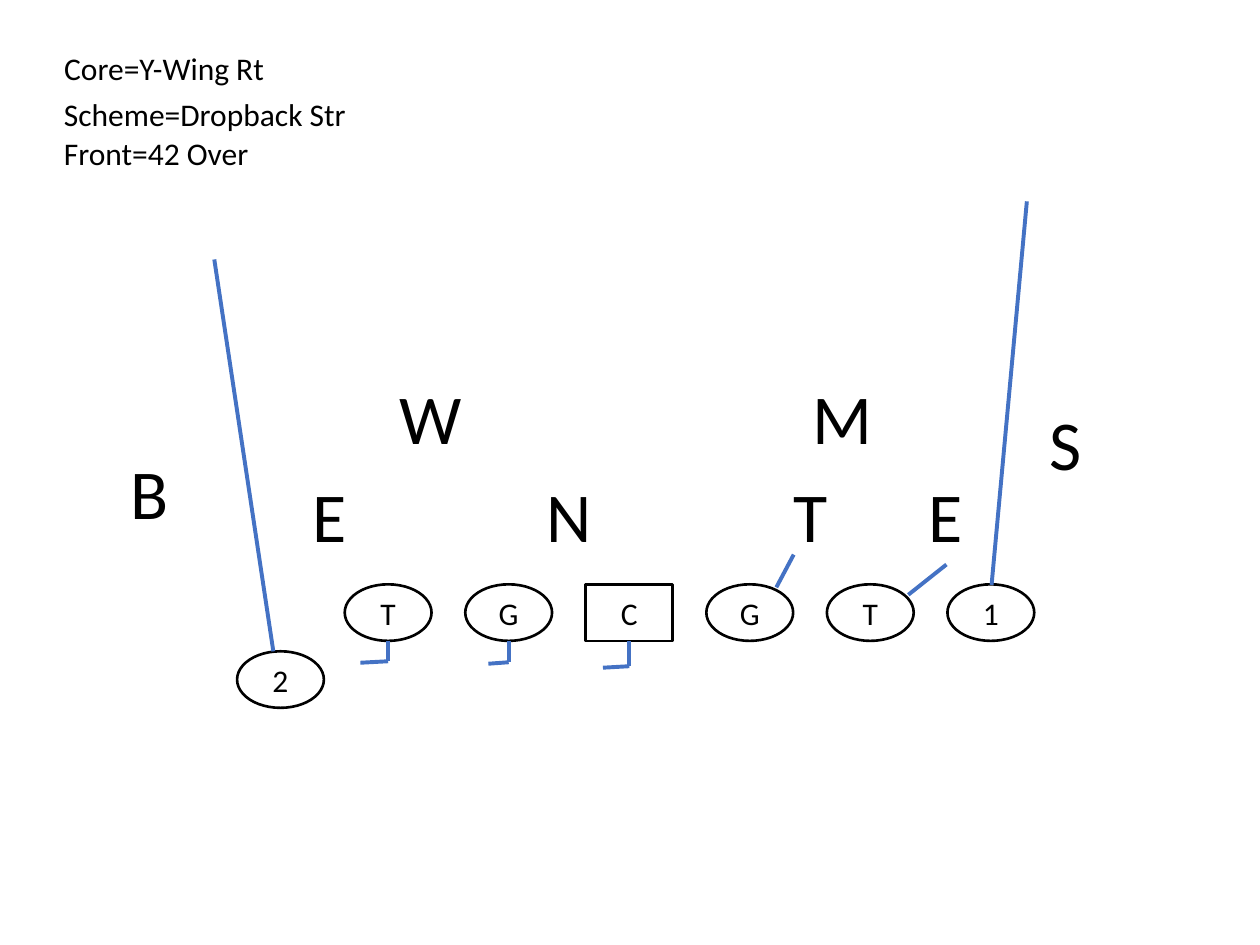
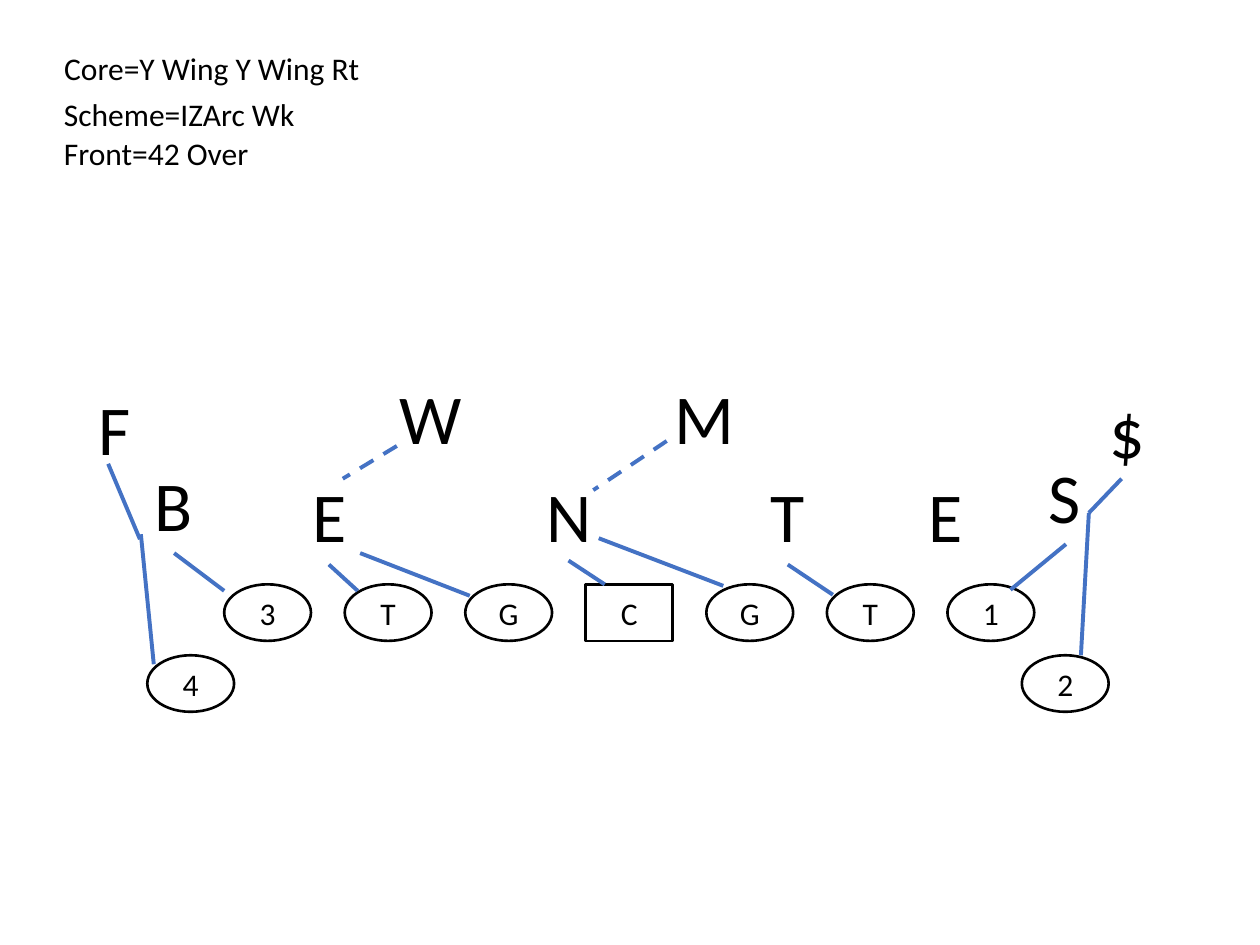
from itertools import pairwise
from pptx import Presentation
from pptx.dml.color import RGBColor
from pptx.enum.dml import MSO_LINE
from pptx.enum.shapes import MSO_CONNECTOR, MSO_SHAPE
from pptx.enum.text import MSO_ANCHOR, MSO_AUTO_SIZE, PP_ALIGN
from pptx.oxml.ns import qn
from pptx.util import Cm, Pt

BLACK, WHITE, BLUE = "000000", "FFFFFF", "4472C4"
FONT = "Calibri"
HEADING_LEFT, HEADING_HEIGHT = 1.04, 1.02
HEADING_TOPS = (0.86, 1.8, 2.57)
PLAYER_WIDTH, PLAYER_HEIGHT = 1.75, 1.14
CENTER_LEFT, LINE_TOP, LINE_PITCH = 11.81, 11.78, 2.43
LETTER_HEIGHT = 1.96
LETTER_WIDTHS = {"N": 1.42, "W": 1.78, "M": 1.78, "B": 1.3, "$": 0.99, "F": 0.89}
LETTER_WIDTH = 1.22
FRONT_TOP, BACKER_TOP = 9.4, 7.42

LINEMEN = [(-2, "T"), (-1, "G"), (0, "C"), (1, "G"), (2, "T"), (3, "1")]
SHARED_DEFENDERS = [
    ("E", 6.05, FRONT_TOP), ("N", 10.77, FRONT_TOP),
    ("E", 18.47, FRONT_TOP), ("W", 7.8, BACKER_TOP),
]

PLAYS = [
    {
        "headings": [("Core=Y-Wing Rt", 4.62), ("Scheme=Dropback Str", 6.25),
                     ("Front=42 Over", 4.27)],
        "linemen": LINEMEN,
        "backs": [("2", 4.78, 13.13)],
        "defenders": SHARED_DEFENDERS + [
            ("T", 15.75, FRONT_TOP), ("M", 16.13, BACKER_TOP),
            ("S", 20.9, 7.95), ("B", 2.39, 8.94),
        ],
        "kick_steps": [(0, 0.51, 0.53), (-1, 0.43, 0.41), (-2, 0.41, 0.56)],
        "routes": [
            [(16, 11.18), (15.65, 11.84)],
            [(19.08, 11.38), (18.31, 11.99)],
            [(20.7, 4.06), (19.99, 11.79)],
            [(4.32, 5.23), (5.51, 13.13)],
        ],
        "dashed_routes": [],
    },
    {
        "headings": [("Core=Y Wing Y Wing Rt", 6.53), ("Scheme=IZArc Wk", 5.21),
                     ("Front=42 Over", 4.42)],
        "linemen": LINEMEN + [(-3, "3")],
        "backs": [("2", 20.6, 13.21), ("4", 2.97, 13.21)],
        "defenders": SHARED_DEFENDERS + [
            ("T", 15.29, FRONT_TOP), ("M", 13.34, BACKER_TOP), ("S", 20.88, 9.02),
            ("B", 2.87, 9.17), ("$", 22.12, 7.7), ("F", 1.73, 7.65),
        ],
        "kick_steps": [],
        "routes": [
            [(6.63, 11.38), (7.21, 11.91)],
            [(7.26, 11.15), (9.47, 12.01)],
            [(11.46, 11.3), (12.19, 11.78)],
            [(12.07, 10.85), (14.58, 11.81)],
            [(15.88, 11.38), (16.79, 11.99)],
            [(3.51, 11.15), (4.52, 11.91)],
            [(2.84, 10.77), (3.1, 13.39)],
            [(2.82, 10.87), (2.18, 9.35)],
            [(21.49, 10.97), (20.37, 11.89)],
            [(22.61, 9.65), (21.95, 10.34), (21.79, 13.21)],
        ],
        "dashed_routes": [
            [(8, 8.99), (6.91, 9.65)],
            [(13.44, 8.89), (11.96, 9.88)],
        ],
    },
]


def color(code):
    return RGBColor.from_string(code)


def write(shape, text, size=18, align=PP_ALIGN.LEFT, anchor=MSO_ANCHOR.TOP,
          wrap=False, fit=MSO_AUTO_SIZE.SHAPE_TO_FIT_TEXT):
    frame = shape.text_frame
    frame.word_wrap = wrap
    frame.auto_size = fit
    frame.vertical_anchor = anchor
    para = frame.paragraphs[0]
    para.alignment = align
    span = para.add_run()
    span.text = text
    span.font.name = FONT
    span.font.size = Pt(size)
    span.font.color.rgb = color(BLACK)


def add_headings(page, headings):
    for index, ((text, width), top) in enumerate(zip(headings, HEADING_TOPS)):
        place = Cm(HEADING_LEFT), Cm(top), Cm(width), Cm(HEADING_HEIGHT)
        if index == 0:
            box = page.shapes.title
            box.left, box.top, box.width, box.height = place
        else:
            box = page.shapes.add_textbox(*place)
        write(box, text)


def add_player(page, label, left, top):
    kind = MSO_SHAPE.RECTANGLE if label == "C" else MSO_SHAPE.OVAL
    player = page.shapes.add_shape(
        kind, Cm(left), Cm(top), Cm(PLAYER_WIDTH), Cm(PLAYER_HEIGHT))
    player.shadow.inherit = False
    player.fill.solid()
    player.fill.fore_color.rgb = color(WHITE)
    player.line.color.rgb = color(BLACK)
    player.line.width = Pt(1.5)
    write(player, label, align=PP_ALIGN.CENTER, anchor=MSO_ANCHOR.MIDDLE,
          wrap=True, fit=MSO_AUTO_SIZE.NONE)
    return player


def add_defender(page, letter, left, top):
    width = LETTER_WIDTHS.get(letter, LETTER_WIDTH)
    box = page.shapes.add_textbox(Cm(left), Cm(top), Cm(width), Cm(LETTER_HEIGHT))
    write(box, letter, size=40, wrap=letter in "$F")


def add_route(page, points, dashed=False):
    legs = []
    for start, end in pairwise(points):
        leg = page.shapes.add_connector(
            MSO_CONNECTOR.STRAIGHT, *(Cm(value) for value in start + end))
        leg.line.color.rgb = color(BLUE)
        leg.line.width = Pt(2.25)
        if dashed:
            leg.line.dash_style = MSO_LINE.DASH
        properties = leg._element.spPr
        properties.append(properties.makeelement(qn("a:effectLst"), {}))
        legs.append(leg)
    return legs


def slot_left(slot):
    return CENTER_LEFT + slot * LINE_PITCH


def add_kick_step(page, slot, drop, step, player):
    middle = slot_left(slot) + PLAYER_WIDTH / 2
    bottom = LINE_TOP + PLAYER_HEIGHT
    corner = bottom + drop
    legs = add_route(page, [(middle, bottom), (middle, corner),
                            (middle - step, corner + 0.03)])
    if slot == 0:
        legs[0].begin_connect(player, 2)


def add_play(deck, play):
    page = deck.slides.add_slide(deck.slide_layouts[5])
    add_headings(page, play["headings"])
    line = {slot: add_player(page, label, slot_left(slot), LINE_TOP)
            for slot, label in play["linemen"]}
    for back in play["backs"]:
        add_player(page, *back)
    for defender in play["defenders"]:
        add_defender(page, *defender)
    for slot, drop, step in play["kick_steps"]:
        add_kick_step(page, slot, drop, step, line[slot])
    for points in play["routes"]:
        add_route(page, points)
    for points in play["dashed_routes"]:
        add_route(page, points, dashed=True)


def main():
    deck = Presentation()
    deck.slide_width, deck.slide_height = Cm(25.4), Cm(19.05)
    for play in PLAYS:
        add_play(deck, play)
    deck.save("out.pptx")


if __name__ == "__main__":
    main()
